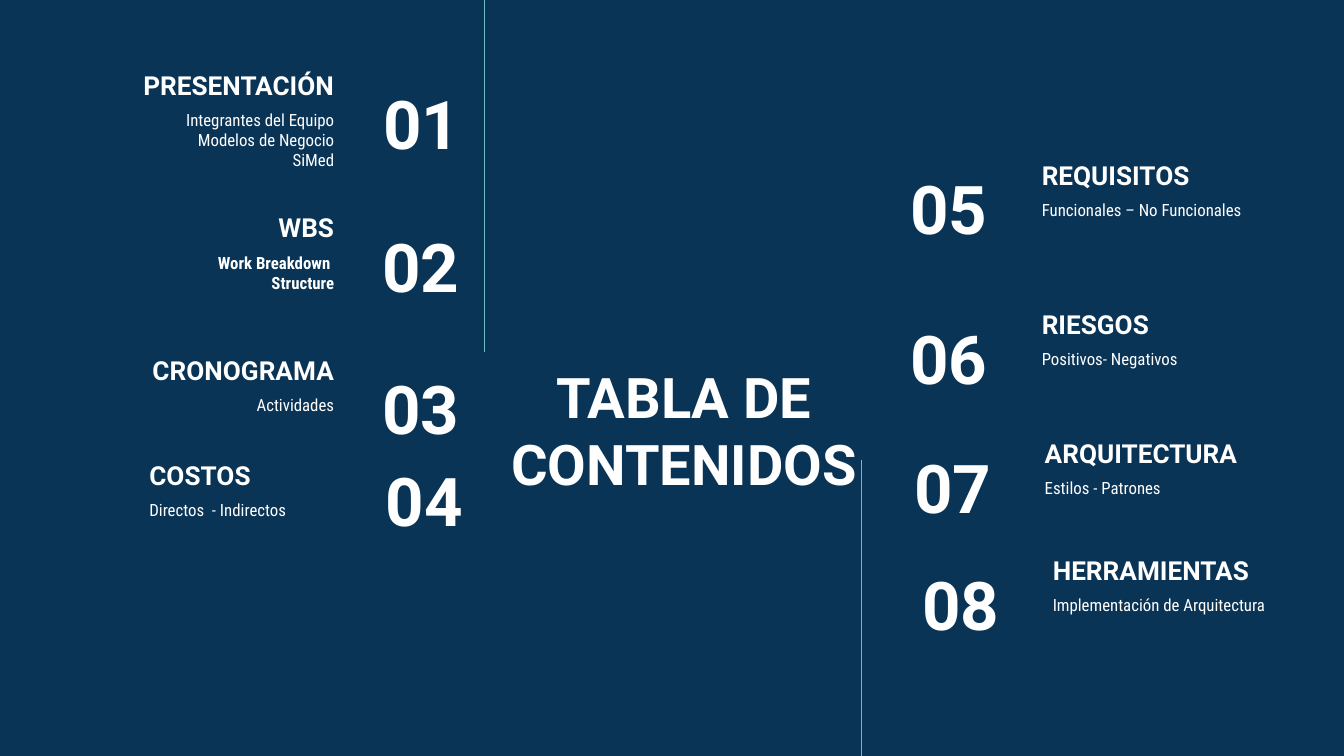
import pptx
import pptx.dml.color
import pptx.enum.shapes
import pptx.enum.text
import pptx.oxml
import pptx.util

ALIGN = pptx.enum.text.PP_ALIGN
ANCHOR = pptx.enum.text.MSO_ANCHOR

THEME = {
    "background": pptx.dml.color.RGBColor.from_string("0A3455"),
    "text": pptx.dml.color.RGBColor.from_string("FFFFFF"),
    "rule": pptx.dml.color.RGBColor.from_string("6EBDC4"),
    "title": ("Roboto", 30, True),
    "number": ("Roboto", 36, True),
    "heading": ("Roboto", 14, True),
    "detail": ("Roboto Condensed", 9, False),
    "strong detail": ("Roboto Condensed", 9, True),
}

# Widescreen page, 16 by 9
deck = pptx.Presentation()
deck.slide_width = pptx.util.Inches(10)
deck.slide_height = deck.slide_width * 9 // 16
page = deck.slides.add_slide(deck.slide_layouts[5])
page.background.fill.solid()
page.background.fill.fore_color.rgb = THEME["background"]

# Square grid of 100 columns by 56.25 rows
COLUMN = deck.slide_width / 100
ROW = deck.slide_height / 56.25


def place(box, left, top, width, height):
    box.left, box.top = round(left * COLUMN), round(top * ROW)
    box.width, box.height = round(width * COLUMN), round(height * ROW)


def write(box, lines, style, align, anchor):
    frame = box.text_frame
    frame.word_wrap = True
    frame.auto_size = pptx.enum.text.MSO_AUTO_SIZE.NONE
    frame.vertical_anchor = anchor
    frame.margin_left = frame.margin_right = pptx.util.Inches(0.1)
    frame.margin_top = frame.margin_bottom = pptx.util.Inches(0.1)
    for index, line in enumerate(lines):
        para = frame.add_paragraph() if index else frame.paragraphs[0]
        para.alignment = align
        span = para.add_run()
        span.text = line
        name, size, span.font.bold = THEME[style]
        span.font.name = name
        span.font.size = pptx.util.Pt(size)
        span.font.color.rgb = THEME["text"]


# Title
title = page.shapes.title
place(title, 35.45, 26.8, 30.9, 10.3)
write(title, ["TABLA DE CONTENIDOS"], "title", ALIGN.CENTER, ANCHOR.MIDDLE)

# Vertical rules
for x, top, bottom in [(36.06, 0, 26.2), (64.1, 34.2, 56.25)]:
    rule = page.shapes.add_connector(
        pptx.enum.shapes.MSO_CONNECTOR.STRAIGHT,
        round(x * COLUMN), round(top * ROW), round(x * COLUMN), round(bottom * ROW))
    rule.line.color.rgb = THEME["rule"]
    rule.line.width = pptx.util.Pt(0.75)
    rule._element.spPr.append(pptx.oxml.parse_xml(
        '<a:effectLst xmlns:a="http://schemas.openxmlformats.org/drawingml/2006/main"/>'))

# Sections: alignment, number column and row, text column and row, heading, details
HEADING_WIDTH, DETAIL_WIDTH, NUMBER_WIDTH, HEIGHT = 21.6, 18.3, 11.9, 6.3
DETAIL_DROP = 4.97
sections = [
    (ALIGN.RIGHT, 23.35, 6.0, 4.25, 2.2, "PRESENTACIÓN",
     ["Integrantes del Equipo", "Modelos de Negocio", " SiMed"], "detail"),
    (ALIGN.RIGHT, 23.25, 16.6, 4.25, 12.8, "WBS",
     ["Work Breakdown ", "Structure"], "strong detail"),
    (ALIGN.RIGHT, 23.25, 27.2, 4.25, 23.4, "CRONOGRAMA", ["Actividades"], "detail"),
    (ALIGN.LEFT, 27.73, 34.0, 10.13, 31.2, "COSTOS", ["Directos  - Indirectos"], "detail"),
    (ALIGN.LEFT, 66.75, 12.33, 76.53, 8.9, "REQUISITOS",
     ["Funcionales – No Funcionales"], "detail"),
    (ALIGN.LEFT, 66.75, 23.5, 76.53, 20.0, "RIESGOS", ["Positivos- Negativos"], "detail"),
    (ALIGN.LEFT, 67.03, 33.1, 76.75, 29.6, "ARQUITECTURA", ["Estilos - Patrones"], "detail"),
    (ALIGN.LEFT, 67.64, 41.8, 77.35, 38.3, "HERRAMIENTAS",
     ["Implementación de Arquitectura"], "detail"),
]
for count, section in enumerate(sections, start=1):
    align, number_left, number_top, left, top, heading, details, detail_style = section
    # Right-aligned details share the heading's right edge
    detail_left = left + (HEADING_WIDTH - DETAIL_WIDTH if align == ALIGN.RIGHT else 0)
    parts = [
        (number_left, number_top, NUMBER_WIDTH, [f"{count:02}"], "number", ANCHOR.MIDDLE),
        (left, top, HEADING_WIDTH, [heading], "heading", ANCHOR.BOTTOM),
        (detail_left, top + DETAIL_DROP, DETAIL_WIDTH, details, detail_style, ANCHOR.TOP),
    ]
    for x, y, width, lines, style, anchor in parts:
        box = page.shapes.add_textbox(0, 0, 0, 0)
        place(box, x, y, width, HEIGHT)
        write(box, lines, style, align, anchor)

deck.save("out.pptx")
